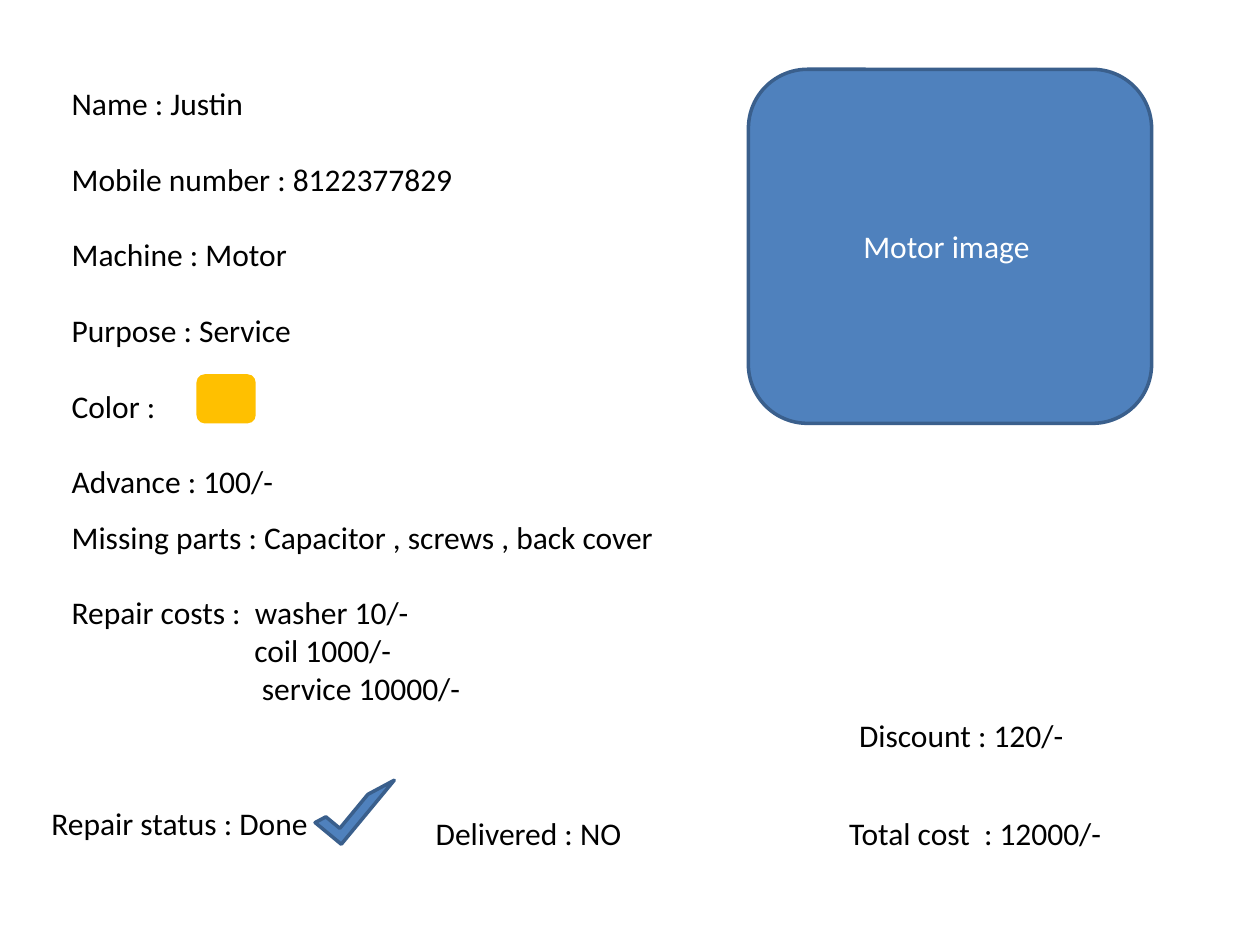
import pptx
import pptx.util
import pptx.dml.color
import pptx.enum.shapes
import pptx.enum.text

BLACK = pptx.dml.color.RGBColor(0x00, 0x00, 0x00)
WHITE = pptx.dml.color.RGBColor(0xFF, 0xFF, 0xFF)
BLUE = pptx.dml.color.RGBColor(0x4F, 0x81, 0xBD)
DARK_BLUE = pptx.dml.color.RGBColor(0x3A, 0x5F, 0x8C)
AMBER = pptx.dml.color.RGBColor(0xFF, 0xC0, 0x00)

WIDTH = pptx.util.Inches(10)
HEIGHT = pptx.util.Inches(7.5)
COLUMNS, ROWS = 100, 75
LINE_GAP = pptx.util.Pt(21.6)
COST_INDENT = 14.5


def columns(count):
    return round(WIDTH * count / COLUMNS)


def rows(count):
    return round(HEIGHT * count / ROWS)


def place(left, top, width, height):
    return columns(left), rows(top), columns(width), rows(height)


def write(paragraph, text, color):
    run = paragraph.add_run()
    run.text = text
    run.font.name = "Calibri"
    run.font.size = pptx.util.Pt(18)
    run.font.color.rgb = color


def add_lines(slide, area, lines):
    frame = slide.shapes.add_textbox(*place(*area)).text_frame
    frame.word_wrap = True
    frame.auto_size = pptx.enum.text.MSO_AUTO_SIZE.SHAPE_TO_FIT_TEXT
    for index, (text, gap, indent) in enumerate(lines):
        paragraph = frame.add_paragraph() if index else frame.paragraphs[0]
        paragraph.space_before = gap
        if indent:
            paragraph._p.get_or_add_pPr().set("marL", str(columns(indent)))
        write(paragraph, text, BLACK)


def add_figure(slide, kind, area, fill, outline=None):
    figure = slide.shapes.add_shape(kind, *place(*area))
    figure.shadow.inherit = False
    figure.fill.solid()
    figure.fill.fore_color.rgb = fill
    if outline is None:
        figure.line.fill.background()
    else:
        figure.line.color.rgb = outline
        figure.line.width = pptx.util.Pt(2)
    return figure


def main():
    deck = pptx.Presentation()
    deck.slide_width, deck.slide_height = WIDTH, HEIGHT
    slide = deck.slides.add_slide(deck.slide_layouts[6])
    kinds = pptx.enum.shapes.MSO_SHAPE

    motor = add_figure(slide, kinds.ROUNDED_RECTANGLE,
                       (59.4, 5.5, 32, 28.1), BLUE, DARK_BLUE)
    motor.text_frame.vertical_anchor = pptx.enum.text.MSO_ANCHOR.MIDDLE
    caption = motor.text_frame.paragraphs[0]
    caption.alignment = pptx.enum.text.PP_ALIGN.CENTER
    write(caption, "Motor image ", WHITE)

    details = ("Name : Justin", "Mobile number : 8122377829", "Machine : Motor",
               "Purpose : Service", "Color :", "Advance : 100/-")
    add_lines(slide, (4.7, 6.2, 39.8, 34.3),
              [(text, LINE_GAP if index else 0, 0)
               for index, text in enumerate(details)])
    add_figure(slide, kinds.ROUNDED_RECTANGLE, (15.6, 29.7, 4.7, 3.9), AMBER)

    add_lines(slide, (4.7, 40.6, 50.8, 16.2), [
        ("Missing parts : Capacitor , screws , back cover", 0, 0),
        ("Repair costs :  washer 10/-", LINE_GAP, 0),
        ("coil 1000/-", 0, COST_INDENT),
        ("service 10000/-", 0, COST_INDENT + 0.6),
    ])

    for text, left, top, width in (
        ("Repair status : Done", 3.1, 63.3, 26.6),
        ("Delivered : NO", 33.6, 64.1, 26.6),
        ("Discount : 120/-", 67.2, 56.3, 22.7),
        ("Total cost  : 12000/-", 66.4, 64.1, 22.7),
    ):
        add_lines(slide, (left, top, width, 4), [(text, 0, 0)])

    done_tick = add_figure(slide, kinds.HALF_FRAME,
                           (26.8, 60.3, 2.7, 6.6), BLUE, DARK_BLUE)
    done_tick.rotation = 219.6

    deck.save("out.pptx")


if __name__ == "__main__":
    main()
